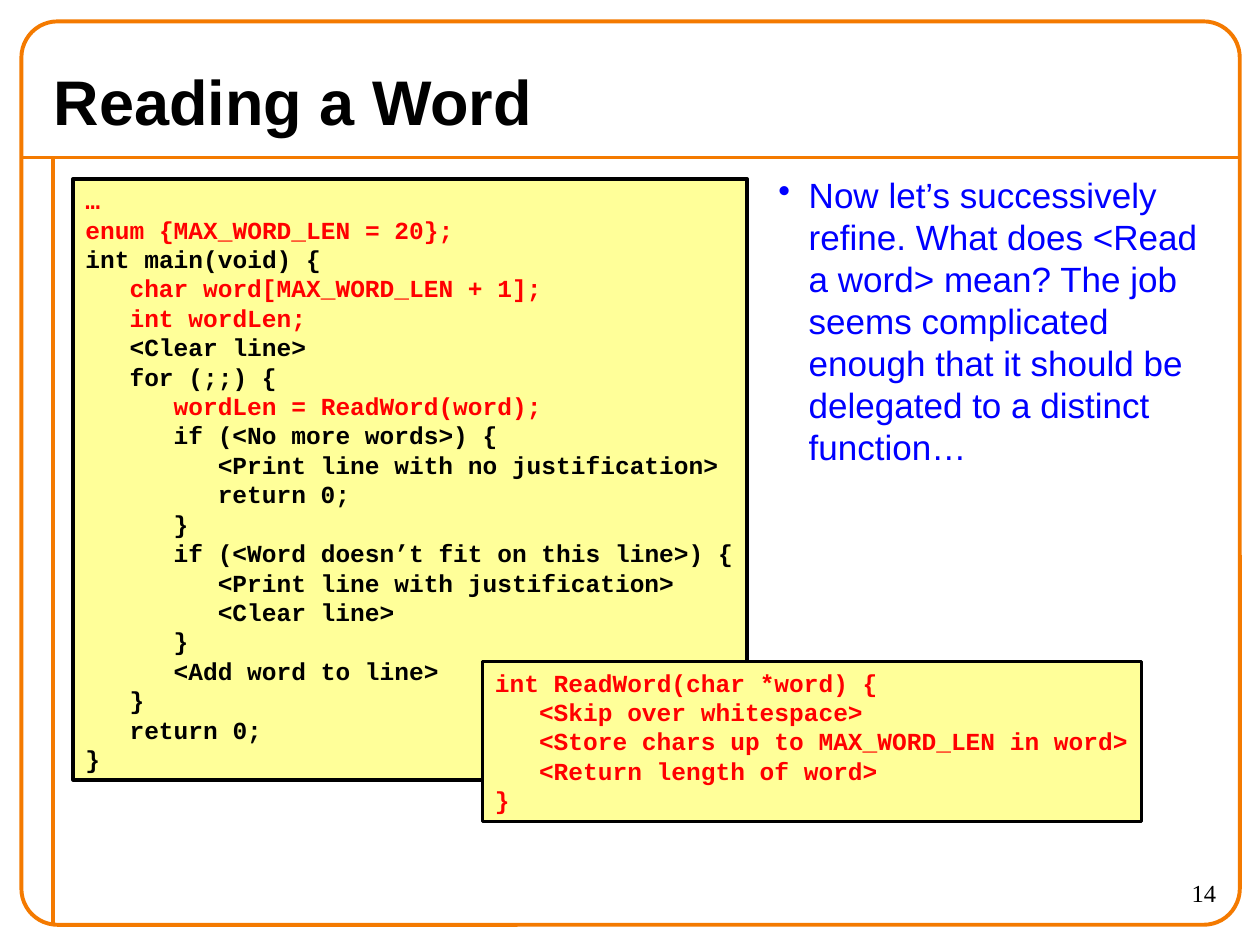
from pptx import Presentation
from pptx.dml.color import RGBColor
from pptx.enum import shapes, text
from pptx.oxml.ns import qn
from pptx.util import Inches, Pt
from lxml import etree

ORANGE, BLACK, RED, BLUE, YELLOW = "F47A00", "000000", "FF0000", "0000FF", "FFFF99"
CODE_INDENT = 0.35  # three Courier New characters at 14 pt


def color(value):
    return RGBColor.from_string(value)


def write(shape, lines, font, size, bold=False, align=text.PP_ALIGN.LEFT,
          anchor=text.MSO_ANCHOR.TOP, wrap=True, spacing=None):
    """Fill a shape with (indent level, text, colour) lines."""
    frame = shape.text_frame
    frame.word_wrap = wrap
    frame.vertical_anchor = anchor
    for number, (level, words, shade) in enumerate(lines):
        paragraph = frame.paragraphs[0] if number == 0 else frame.add_paragraph()
        paragraph.alignment = align
        if spacing:
            paragraph.line_spacing = Pt(spacing)
        if level:
            paragraph._p.get_or_add_pPr().set("marL", str(Inches(level * CODE_INDENT)))
        run = paragraph.add_run()
        run.text = words
        run.font.name = font
        run.font.size = Pt(size)
        run.font.bold = bold
        run.font.color.rgb = color(shade)


presentation = Presentation()
presentation.slide_width = Inches(10)
presentation.slide_height = Inches(7.5)
slide = presentation.slides.add_slide(presentation.slide_layouts[6])

# Orange frame with a rule under the title and one down the left side
for x1, y1, x2, y2 in [(0.17, 1.25, 9.83, 1.25), (0.42, 1.25, 0.42, 7.33)]:
    rule = slide.shapes.add_connector(
        shapes.MSO_CONNECTOR.STRAIGHT, Inches(x1), Inches(y1), Inches(x2), Inches(y2))
    rule.line.color.rgb = color(ORANGE)
    rule.line.width = Pt(2.25)
    etree.SubElement(rule._element.spPr, qn("a:effectLst"))

border = slide.shapes.add_shape(
    shapes.MSO_SHAPE.ROUNDED_RECTANGLE, Inches(0.17), Inches(0.17), Inches(9.67), Inches(7.17))
border.adjustments[0] = 0.04
border.shadow.inherit = False
border.fill.background()
border.line.color.rgb = color(ORANGE)
border.line.width = Pt(2.25)

# Page number, title and bullet
page_number = slide.shapes.add_textbox(Inches(8.75), Inches(6.92), Inches(1), Inches(0.42))
write(page_number, [(0, "14", BLACK)], "Times New Roman", 14, align=text.PP_ALIGN.RIGHT)

title = slide.shapes.add_textbox(Inches(0.33), Inches(0.42), Inches(9.33), Inches(0.75))
write(title, [(0, "Reading a Word", BLACK)], "Arial", 36, bold=True,
      anchor=text.MSO_ANCHOR.MIDDLE)

body = slide.shapes.add_textbox(Inches(6.08), Inches(1.33), Inches(3.75), Inches(4.92))
write(body, [(0, "Now let’s successively refine. What does <Read a word> mean? The job seems "
                 "complicated enough that it should be delegated to a distinct function…", BLUE)],
      "Arial", 20, spacing=24)
bullet = body.text_frame.paragraphs[0]
bullet.space_before = Pt(12.5)
properties = bullet._p.get_or_add_pPr()
properties.set("marL", str(Inches(0.24)))
properties.set("indent", str(Inches(-0.24)))
bullet_color = etree.SubElement(properties, qn("a:buClr"))
etree.SubElement(bullet_color, qn("a:srgbClr"), val=BLUE)
etree.SubElement(properties, qn("a:buChar"), char="•")

# Code listings: the main program, then the new function on top of it
main_code = [
    (0, "…", RED),
    (0, "enum {MAX_WORD_LEN = 20};", RED),
    (0, "int main(void) {", BLACK),
    (1, "char word[MAX_WORD_LEN + 1];", RED),
    (1, "int wordLen;", RED),
    (1, "<Clear line>", BLACK),
    (1, "for (;;) {", BLACK),
    (2, "wordLen = ReadWord(word);", RED),
    (2, "if (<No more words>) {", BLACK),
    (3, "<Print line with no justification>", BLACK),
    (3, "return 0;", BLACK),
    (2, "}", BLACK),
    (2, "if (<Word doesn’t fit on this line>) {", BLACK),
    (3, "<Print line with justification>", BLACK),
    (3, "<Clear line>", BLACK),
    (2, "}", BLACK),
    (2, "<Add word to line>", BLACK),
    (1, "}", BLACK),
    (1, "return 0;", BLACK),
    (0, "}", BLACK),
]
read_word_code = [
    (0, "int ReadWord(char *word) {", RED),
    (1, "<Skip over whitespace>", RED),
    (1, "<Store chars up to MAX_WORD_LEN in word>", RED),
    (1, "<Return length of word>", RED),
    (0, "}", RED),
]
for left, top, width, height, code in [(0.58, 1.42, 5.35, 4.77, main_code),
                                       (3.83, 5.25, 5.23, 1.27, read_word_code)]:
    listing = slide.shapes.add_shape(
        shapes.MSO_SHAPE.RECTANGLE, Inches(left), Inches(top), Inches(width), Inches(height))
    listing.shadow.inherit = False
    listing.fill.solid()
    listing.fill.fore_color.rgb = color(YELLOW)
    listing.line.color.rgb = color(BLACK)
    listing.line.width = Pt(2)
    write(listing, code, "Courier New", 14, bold=True, wrap=False, spacing=16.8)

presentation.save("out.pptx")
